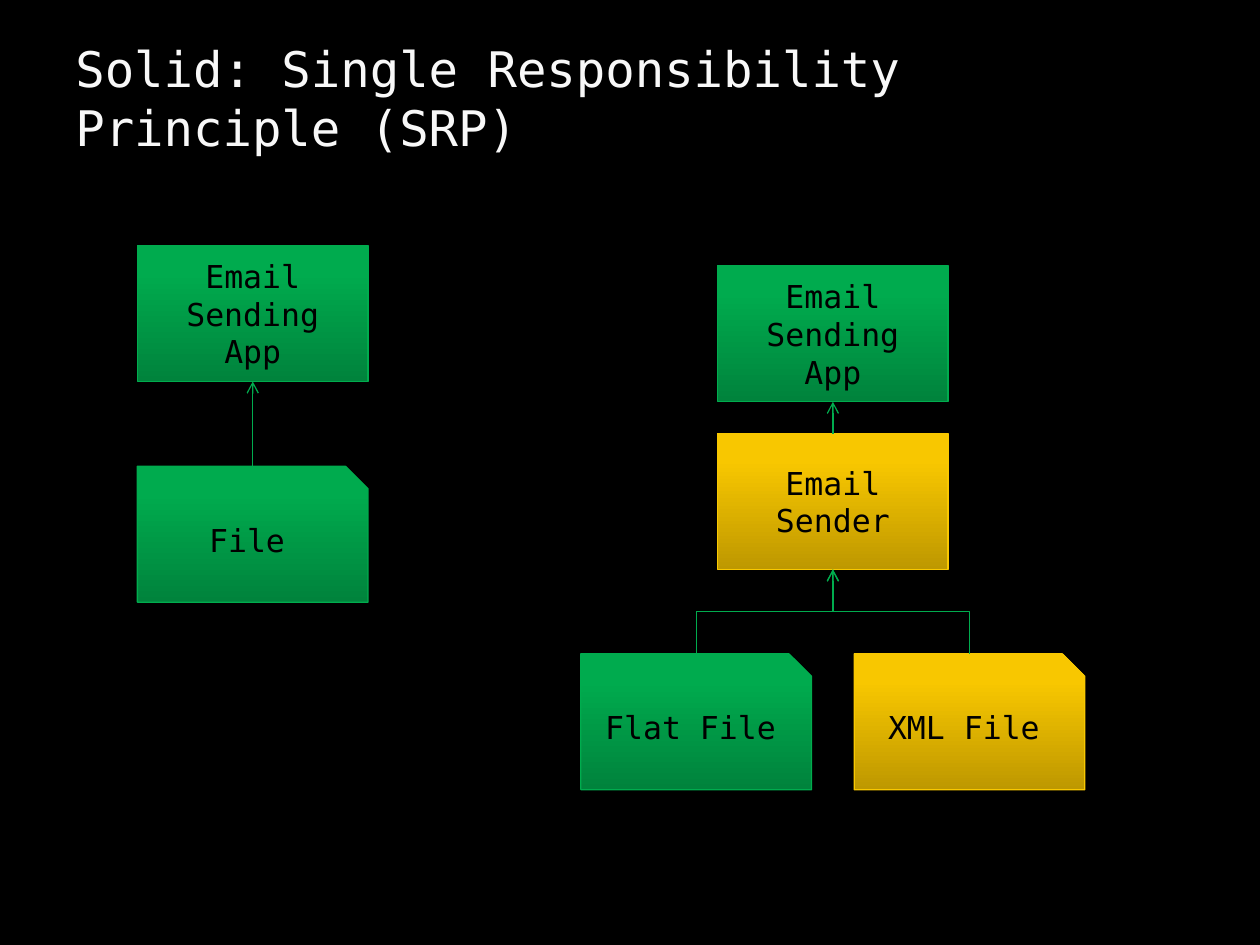
from lxml import etree
from pptx import Presentation
from pptx import util as u
from pptx.dml.color import RGBColor
from pptx.enum import shapes, text
from pptx.oxml import ns

COLORS = {
    "background": "000000", "title": "F8F8F8", "text": "000000",
    "green": "00AB4E", "green_dark": "00833C", "green_line": "00AC4E",
    "yellow": "F8C700", "yellow_dark": "BE9800", "yellow_line": "F9C800",
}
FONT = "DejaVu Sans Mono"
CARD_W, CARD_H = 4.65, 2.74
RECT = shapes.MSO_SHAPE.RECTANGLE
SNIP = shapes.MSO_SHAPE.SNIP_1_RECTANGLE


def color(name):
    return RGBColor.from_string(COLORS[name])


def write(sp, content, size=18, fill="text", align=text.PP_ALIGN.CENTER):
    tf = sp.text_frame
    tf.word_wrap = True
    tf.vertical_anchor = text.MSO_ANCHOR.MIDDLE
    p = tf.paragraphs[0]
    p.alignment = align
    r = p.add_run()
    r.text = content
    r.font.name = FONT
    r.font.size = u.Pt(size)
    r.font.color.rgb = color(fill)


def add_card(parent, kind, x, y, label, tone="green"):
    sp = parent.shapes.add_shape(kind, u.Cm(x), u.Cm(y), u.Cm(CARD_W), u.Cm(CARD_H))
    sp.shadow.inherit = False
    sp.fill.gradient()
    sp.fill.gradient_angle = 90
    dark, light = sp.fill.gradient_stops
    dark.color.rgb, dark.position = color(f"{tone}_dark"), 0
    light.color.rgb, light.position = color(tone), 0.8
    sp.line.color.rgb = color(f"{tone}_line")
    sp.line.width = u.Pt(0.75)
    write(sp, label)
    return sp


def add_arrow(parent, lower, upper):
    """Elbow arrow from the top of one card to the bottom of another."""
    x1, y1 = lower.left + lower.width / 2, lower.top
    x2, y2 = upper.left + upper.width / 2, upper.top + upper.height
    cx, cy = (x1 + x2) / 2, (y1 + y2) / 2
    dx, dy = x1 - cx, y1 - cy
    # The ends are laid out sideways, then turned by 90 degrees
    ends = [round(v) for v in (cx + dy, cy - dx, cx - dy, cy + dx)]
    ln = parent.shapes.add_connector(shapes.MSO_CONNECTOR.ELBOW, *ends)
    ln.line.color.rgb = color("green_line")
    ln.line.width = u.Pt(0.75)
    sp_pr = ln._element.spPr
    sp_pr.xfrm.set("rot", str(90 * 60000))
    etree.SubElement(ln.line._get_or_add_ln(), ns.qn("a:tailEnd"), type="arrow")
    etree.SubElement(sp_pr, ns.qn("a:effectLst"))


def add_title(slide, x, y, w, h):
    sp = slide.shapes.add_textbox(u.Cm(x), u.Cm(y), u.Cm(w), u.Cm(h))
    write(sp, "Solid: Single Responsibility Principle (SRP)", size=28,
          fill="title", align=text.PP_ALIGN.LEFT)


def add_single_design(slide, x, y):
    """The app reads the file directly."""
    group = slide.shapes.add_group_shape()
    app = add_card(group, RECT, x, y, "Email Sending App")
    file = add_card(group, SNIP, x, y + 4.45, "File")
    add_arrow(group, file, app)


def add_split_design(slide, x, y, w):
    """A sender stands between the app and two kinds of file."""
    group = slide.shapes.add_group_shape()
    middle = x + (w - CARD_W) / 2
    sender = add_card(group, RECT, middle, y + 3.38, "Email Sender", "yellow")
    files = [
        add_card(group, SNIP, x, y + 7.82, "Flat File"),
        add_card(group, SNIP, x + w - CARD_W, y + 7.82, "XML File", "yellow"),
    ]
    for file in files:
        add_arrow(group, file, sender)
    app = add_card(group, RECT, middle, y, "Email Sending App")
    add_arrow(group, sender, app)


def main():
    prs = Presentation()
    prs.slide_width, prs.slide_height = u.Cm(25.4), u.Cm(19.05)
    s = prs.slides.add_slide(prs.slide_layouts[6])
    s.background.fill.solid()
    s.background.fill.fore_color.rgb = color("background")

    add_title(s, 1.27, 0.64, 22.86, 2.64)
    add_single_design(s, 2.77, 4.95)
    add_split_design(s, 11.71, 5.36, 10.16)
    prs.save("out.pptx")


if __name__ == "__main__":
    main()
